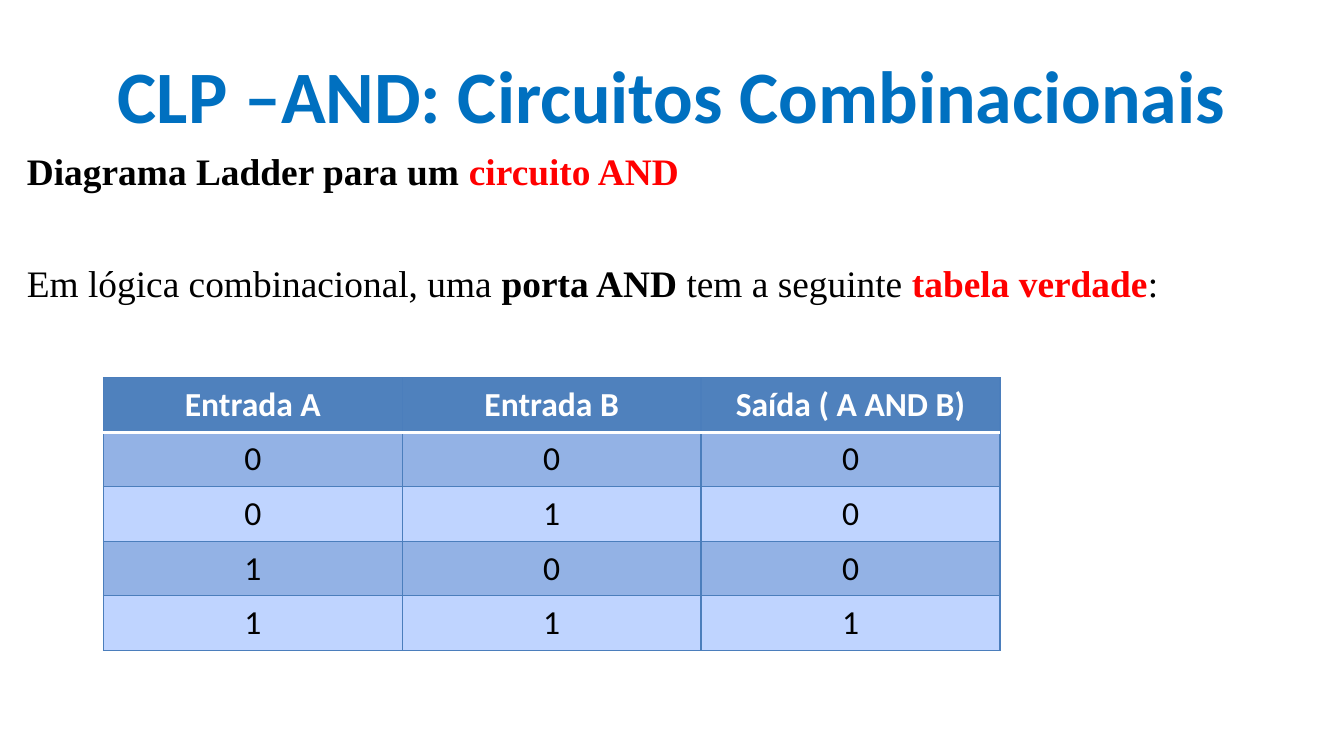
from typing import NamedTuple

import pptx
import pptx.dml.color
import pptx.enum.text
import pptx.oxml
import pptx.oxml.ns
import pptx.util
from pptx.util import Inches, Pt

COLORS = {
    "title": "0070C0", "text": "000000", "accent": "FF0000",
    "white": "FFFFFF", "header": "4F81BD", "border": "4B7EBC",
    "band_dark": "93B2E5", "band_light": "BFD4FF",
}
ALIGN = pptx.enum.text.PP_ALIGN
ANCHOR = pptx.enum.text.MSO_ANCHOR


class Run(NamedTuple):
    text: str
    color: str = "text"
    bold: bool = False


class Border(NamedTuple):
    color: str = "border"
    width: float = 0.75


class Line(NamedTuple):
    runs: list[Run]
    space_before: float


LINES = [
    Line([Run("Diagrama Ladder para um ", bold=True),
          Run("circuito AND", "accent", True)], 6),
    Line([Run("Em lógica combinacional, uma "),
          Run("porta AND ", bold=True),
          Run("tem a seguinte "),
          Run("tabela verdade", "accent", True),
          Run(":")], 36),
]
HEADER = ["Entrada A", "Entrada B", "Saída ( A AND B)"]
TRUTH = [[str(v) for v in (a, b, a & b)] for a in (0, 1) for b in (0, 1)]


def rgb(name: str) -> pptx.dml.color.RGBColor:
    return pptx.dml.color.RGBColor.from_string(COLORS[name])


def set_font(font, name: str, size: float, color: str, bold: bool) -> None:
    font.name, font.size, font.bold = name, Pt(size), bold
    font.color.rgb = rgb(color)


def set_frame(tf, anchor) -> None:
    tf.word_wrap = True
    tf.auto_size = pptx.enum.text.MSO_AUTO_SIZE.NONE
    tf.vertical_anchor = anchor
    tf.margin_left = tf.margin_right = Inches(0.05)
    tf.margin_top = tf.margin_bottom = Inches(0.05)


def add_border(cell, side: str, border: Border) -> None:
    ns = pptx.oxml.ns.nsdecls("a")
    cell._tc.get_or_add_tcPr().append(pptx.oxml.parse_xml(
        f'<a:ln{side} {ns} w="{Pt(border.width)}"><a:solidFill>'
        f'<a:srgbClr val="{COLORS[border.color]}"/>'
        f'</a:solidFill></a:ln{side}>'))


def fill_cell(cell, text: str, row: int) -> None:
    rule = Border("white", 2)
    borders = {"L": Border(), "R": Border(),
               "T": rule if row == 1 else Border(),
               "B": rule if row == 0 else Border()}
    for side, border in borders.items():
        add_border(cell, side, border)
    band = "header" if row == 0 else "band_dark" if row % 2 else "band_light"
    cell.fill.solid()
    cell.fill.fore_color.rgb = rgb(band)
    p = cell.text_frame.paragraphs[0]
    p.text = text
    p.alignment = ALIGN.CENTER
    set_font(p.font, "Calibri", 18, "text" if row else "white", row == 0)


def add_title(s) -> None:
    sp = s.shapes.title
    sp.left, sp.top = Inches(0.5), Inches(0.23)
    sp.width, sp.height = Inches(9), Inches(0.94)
    set_frame(sp.text_frame, ANCHOR.MIDDLE)
    p = sp.text_frame.paragraphs[0]
    p.text = "CLP –AND: Circuitos Combinacionais"
    p.alignment = ALIGN.CENTER
    set_font(p.font, "Calibri", 39.6, "title", True)


def add_body(s, lines: list[Line]) -> None:
    sp = s.shapes.add_textbox(Inches(0.15), Inches(1.05),
                              Inches(9.69), Inches(4.47))
    tf = sp.text_frame
    set_frame(tf, ANCHOR.TOP)
    for i, line in enumerate(lines):
        p = tf.add_paragraph() if i else tf.paragraphs[0]
        p.alignment = ALIGN.JUSTIFY
        p.space_before = Pt(line.space_before)
        for run in line.runs:
            r = p.add_run()
            r.text = run.text
            set_font(r.font, "Times New Roman", 20, run.color, run.bold)


def add_truth_table(s, rows: list[list[str]]) -> None:
    table = s.shapes.add_table(len(rows), len(rows[0]), Inches(0.77),
                               Inches(2.81), Inches(6.67), Inches(2.03)).table
    for i, row in enumerate(rows):
        for j, text in enumerate(row):
            fill_cell(table.cell(i, j), text, i)


def main() -> None:
    # Widescreen 16:9 slide
    prs = pptx.Presentation()
    prs.slide_width = Inches(10)
    prs.slide_height = Inches(10) * 9 // 16
    s = prs.slides.add_slide(prs.slide_layouts.get_by_name("Title Only"))

    # Title and introduction
    add_title(s)
    add_body(s, LINES)

    # Truth table of the AND gate
    add_truth_table(s, [HEADER] + TRUTH)

    prs.save("out.pptx")


if __name__ == "__main__":
    main()
